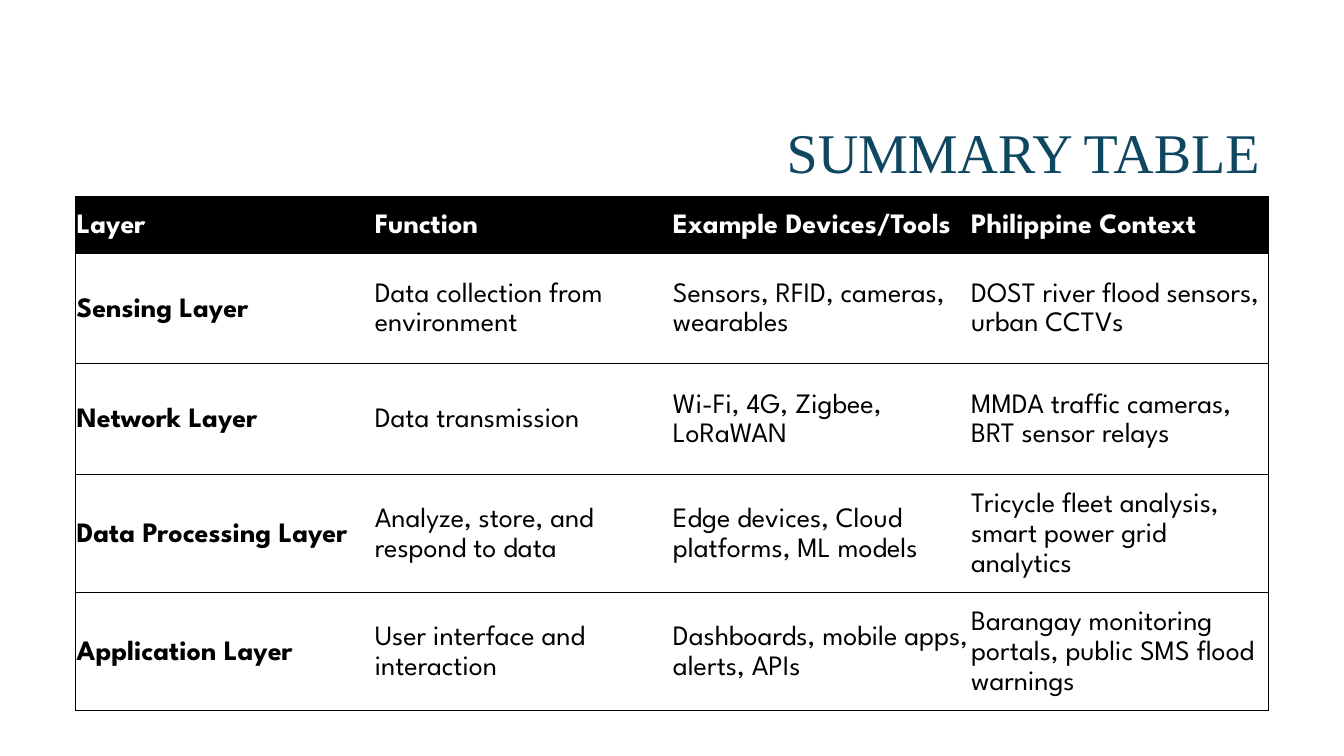
from lxml.etree import SubElement
from pptx import Presentation
from pptx.dml.color import RGBColor
from pptx.enum.text import MSO_ANCHOR, PP_ALIGN
from pptx.oxml.ns import qn
from pptx.util import Inches, Pt

TITLE = "SUMMARY TABLE"
ROWS = [
    ("Layer", "Function", "Example Devices/Tools", "Philippine Context"),
    ("Sensing Layer", "Data collection from environment",
     "Sensors, RFID, cameras, wearables",
     "DOST river flood sensors, urban CCTVs"),
    ("Network Layer", "Data transmission", "Wi-Fi, 4G, Zigbee, LoRaWAN",
     "MMDA traffic cameras, BRT sensor relays"),
    ("Data Processing Layer", "Analyze, store, and respond to data",
     "Edge devices, Cloud platforms, ML models",
     "Tricycle fleet analysis, smart power grid analytics"),
    ("Application Layer", "User interface and interaction",
     "Dashboards, mobile apps, alerts, APIs",
     "Barangay monitoring portals, public SMS flood warnings"),
]
THEME = {
    "title": "0F4761", "ink": "000000", "paper": "FFFFFF",
    "serif": "Times New Roman", "sans": "League Spartan",
    "big": 40, "body": 20, "rule": 0.75,
}
LEFT, TOP, WIDTH = 0.75, 1.95, 11.83
HEAD, BODY = 0.56, 1.1
PAD = Inches(0.01)


def write(frame, text, *, font, size, color, bold=False,
          align=PP_ALIGN.LEFT, line=1.0, after=0):
    frame.word_wrap = True
    para = frame.paragraphs[0]
    para.alignment, para.line_spacing = align, line
    para.space_after = Pt(after)
    run = para.add_run()
    run.text = text
    run.font.name, run.font.size, run.font.bold = font, Pt(size), bold
    run.font.color.rgb = RGBColor.from_string(color)


def edge(cell, sides):
    """Draw the sides named in sides and hide the others."""
    props = cell._tc.get_or_add_tcPr()
    for side in "LRTB":
        line = SubElement(props, qn("a:ln" + side), w=str(Pt(THEME["rule"])))
        if side in sides:
            fill = SubElement(line, qn("a:solidFill"))
            SubElement(fill, qn("a:srgbClr"), val=THEME["ink"])
        else:
            SubElement(line, qn("a:noFill"))


def add_title(slide):
    box = slide.shapes.add_textbox(
        Inches(3.17), Inches(0.84), Inches(9.42), Inches(1.41))
    box.text_frame.vertical_anchor = MSO_ANCHOR.MIDDLE
    write(box.text_frame, TITLE, font=THEME["serif"], size=THEME["big"],
          color=THEME["title"], align=PP_ALIGN.RIGHT, line=0.9)


def add_grid(slide):
    count, last = len(ROWS), len(ROWS[0]) - 1
    high = HEAD + BODY * (count - 1)
    table = slide.shapes.add_table(
        count, last + 1, Inches(LEFT), Inches(TOP),
        Inches(WIDTH), Inches(high)).table
    table.horz_banding = False
    for r, texts in enumerate(ROWS):
        head = r == 0
        table.rows[r].height = Inches(HEAD if head else BODY)
        for c, text in enumerate(texts):
            cell = table.cell(r, c)
            cell.vertical_anchor = MSO_ANCHOR.MIDDLE
            cell.margin_left = cell.margin_right = PAD
            cell.margin_top = cell.margin_bottom = PAD
            edge(cell, "TB" + "L" * (c == 0) + "R" * (c == last))
            cell.fill.solid()
            cell.fill.fore_color.rgb = RGBColor.from_string(
                THEME["ink" if head else "paper"])
            write(cell.text_frame, text, font=THEME["sans"],
                  size=THEME["body"], color=THEME["paper" if head else "ink"],
                  bold=head or c == 0, line=1.15, after=8)


def main():
    deck = Presentation()
    deck.slide_width, deck.slide_height = Inches(13.33), Inches(7.5)
    slide = deck.slides.add_slide(deck.slide_layouts[6])
    add_title(slide)
    add_grid(slide)
    deck.save("out.pptx")


if __name__ == "__main__":
    main()
